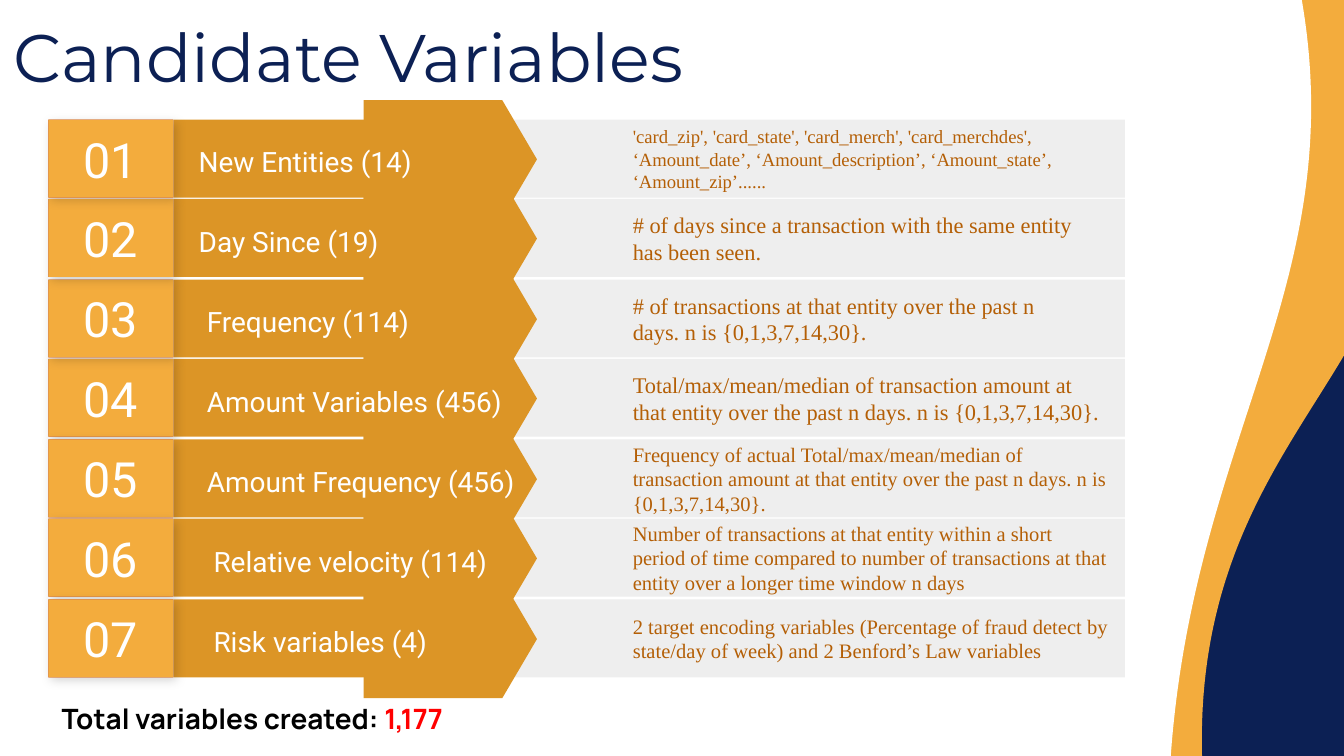
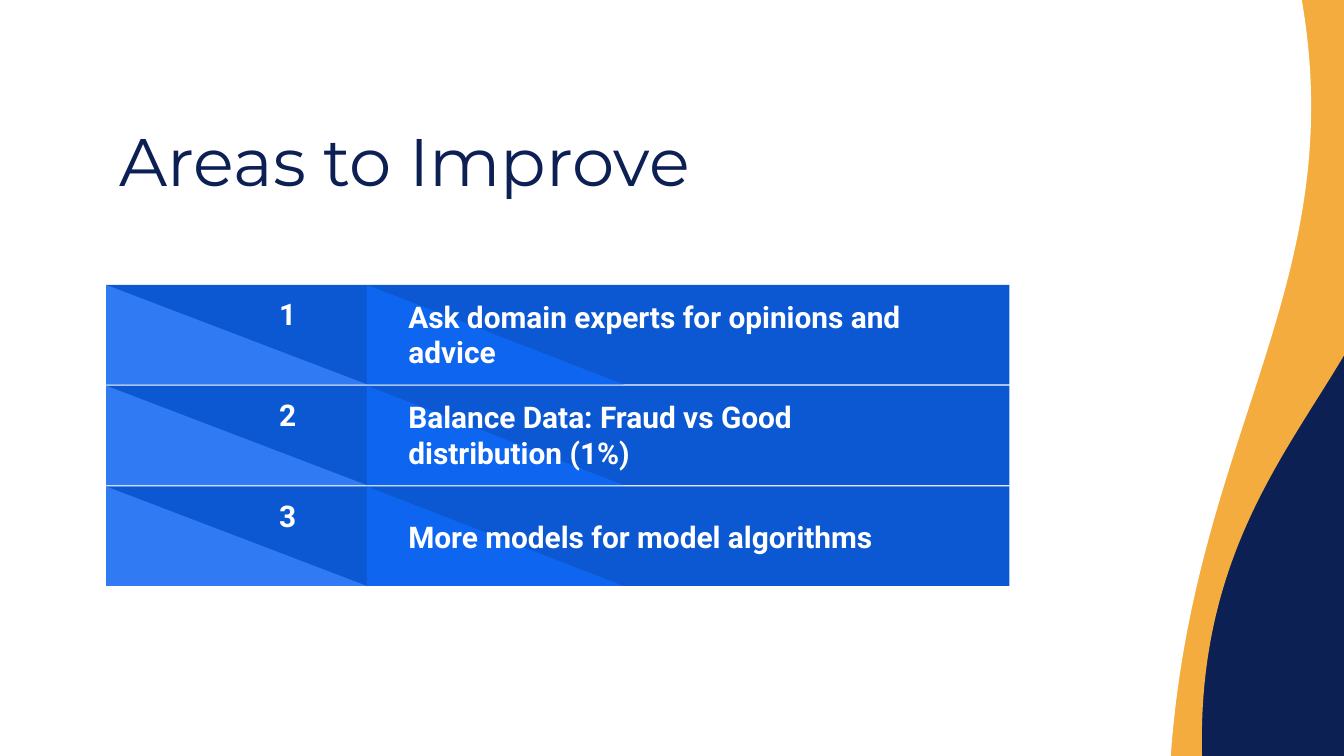
import dataclasses
import typing

import lxml.etree
import pptx
import pptx.dml.color
import pptx.enum.shapes
import pptx.enum.text
import pptx.oxml.ns
import pptx.presentation
import pptx.shapes.autoshape
import pptx.shapes.shapetree
import pptx.slide
import pptx.util

RGB = pptx.dml.color.RGBColor
KIND = pptx.enum.shapes.MSO_SHAPE
ANCHOR = pptx.enum.text.MSO_ANCHOR
ALIGN = pptx.enum.text.PP_ALIGN
FIT = pptx.enum.text.MSO_AUTO_SIZE
qn = pptx.oxml.ns.qn

Shape = pptx.shapes.autoshape.Shape
Slide = pptx.slide.Slide
Tree = typing.Union[pptx.shapes.shapetree.SlideShapes, pptx.shapes.shapetree.GroupShapes]
Frame = tuple[int, int, int, int]  # left, top, width, height in px

PX = 9144  # 100 px to the inch
WIDE = 1000
INSET = 10

NAVY = RGB(0x0C, 0x20, 0x54)
GOLD = RGB(0xF3, 0xAC, 0x3D)
OCHRE = RGB(0xDC, 0x95, 0x26)
RUST = RGB(0xB0, 0x2C, 0x20)
BROWN = RGB(0xB4, 0x5F, 0x06)
GREY = RGB(0xEE, 0xEE, 0xEE)
WHITE = RGB(0xFF, 0xFF, 0xFF)
BLACK = RGB(0, 0, 0)
RED = RGB(0xFF, 0, 0)
BLUE = RGB(0x0C, 0x58, 0xD3)
BRIGHT = RGB(0x0E, 0x65, 0xF0)
LIGHT = RGB(0x30, 0x7B, 0xF3)


@dataclasses.dataclass(frozen=True)
class Style:
    size: int
    color: RGB
    font: str = "Roboto"
    bold: bool = False
    align: ALIGN = ALIGN.LEFT
    anchor: ANCHOR = ANCHOR.MIDDLE
    indent: int = 0
    space: float = 1.0


TITLE = Style(36, NAVY, "Montserrat")
NUMBER = Style(26, WHITE, align=ALIGN.CENTER)
LABEL = Style(15, WHITE, space=1.15)
DETAIL = Style(12, BROWN, "Times New Roman", indent=50)
TOTAL = Style(15, BLACK, "Manrope", bold=True, anchor=ANCHOR.TOP)
POINT = Style(16, WHITE, bold=True)
COUNT = dataclasses.replace(POINT, align=ALIGN.CENTER, anchor=ANCHOR.BOTTOM)


@dataclasses.dataclass(frozen=True)
class Row:
    label: str
    left: int
    detail: str
    size: int
    width: int


ROWS = (
    Row("New Entities (14)", 138,
        "'card_zip', 'card_state', 'card_merch', 'card_merchdes', ‘Amount_date’, "
        "‘Amount_description’, ‘Amount_state’, ‘Amount_zip’......", 10, 425),
    Row("Day Since (19)", 138,
        "# of days since a transaction with the same entity has been seen.", 12, 399),
    Row("Frequency (114)", 144,
        "# of transactions at that entity over the past n days. n is {0,1,3,7,14,30}.", 12, 399),
    Row("Amount Variables (456)", 144,
        "Total/max/mean/median of transaction amount at that entity over the past n days. "
        "n is {0,1,3,7,14,30}.", 12, 419),
    Row("Amount Frequency (456)", 144,
        "Frequency of actual Total/max/mean/median of transaction amount at that entity "
        "over the past n days. n is {0,1,3,7,14,30}.", 11, 425),
    Row("Relative velocity (114)", 149,
        "Number of transactions at that entity within a short period of time compared to "
        "number of transactions at that entity over a longer time window n days", 11, 425),
    Row("Risk variables (4)", 149,
        "2 target encoding variables (Percentage of fraud detect by state/day of week) "
        "and 2 Benford’s Law variables", 11, 425),
)
ORDER = (3, 2, 1, 0, 4, 5, 6)  # back to front, so tile shadows fall on the row below

POINTS = (
    ("Ask domain experts for opinions and advice", ANCHOR.TOP),
    ("Balance Data: Fraud vs Good distribution (1%)", ANCHOR.TOP),
    ("More models for model algorithms", ANCHOR.MIDDLE),
)


def emu(frame: Frame) -> list[pptx.util.Emu]:
    return [pptx.util.Emu(n * PX) for n in frame]


def write(shape: Shape, text: str, style: Style) -> None:
    """Put one styled paragraph into a shape."""
    body = shape.text_frame
    body.text = text
    body.word_wrap = True
    body.auto_size = FIT.NONE
    body.vertical_anchor = style.anchor
    body.margin_left = body.margin_right = INSET * PX
    body.margin_top = body.margin_bottom = INSET * PX
    para = body.paragraphs[0]
    para.alignment = style.align
    para.line_spacing = style.space
    if style.indent:
        props = para._p.get_or_add_pPr()
        props.set("marL", str(style.indent * PX))
        props.set("indent", "0")
    for run in para.runs:
        ink(run, style)


def ink(run: typing.Any, style: Style) -> None:
    """Set the font of a run."""
    run.font.name = style.font
    run.font.size = pptx.util.Pt(style.size)
    run.font.bold = style.bold
    run.font.color.rgb = style.color


def label(tree: Tree, frame: Frame, text: str, style: Style) -> Shape:
    box = tree.add_textbox(*emu(frame))
    write(box, text, style)
    return box


def block(tree: Tree, kind: KIND, frame: Frame, fill: RGB, turn: float = 0) -> Shape:
    """Add a flat, unlined shape."""
    shape = tree.add_shape(kind, *emu(frame))
    shape.shadow.inherit = False
    shape.fill.solid()
    shape.fill.fore_color.rgb = fill
    shape.line.fill.background()
    shape.rotation = turn
    return shape


def shade(shape: Shape) -> None:
    """Give a flat shape a soft shadow to the lower right."""
    effects = shape.element.spPr.find(qn("a:effectLst"))
    outer = lxml.etree.SubElement(
        effects, qn("a:outerShdw"), blurRad="71120", dist="27940",
        dir="2700000", algn="bl", rotWithShape="0")
    color = lxml.etree.SubElement(outer, qn("a:srgbClr"), val="000000")
    lxml.etree.SubElement(color, qn("a:alpha"), val="17000")


def dress(deck: pptx.presentation.Presentation, slide: Slide) -> None:
    """Set the master's ground and move the two waves onto it."""
    master = deck.slide_master
    master.background.fill.solid()
    master.background.fill.fore_color.rgb = NAVY
    waves = (((309, -169, 603, 900), GOLD, 267.6), ((-11, -219, 998, 1070), WHITE, 261.7))
    for key, (frame, fill, turn) in enumerate(waves, 101):
        wave = block(slide.shapes, KIND.FLOWCHART_DOCUMENT, frame, fill, turn)
        wave.element.spPr.find(qn("a:xfrm")).set("flipH", "1")
        wave.element.nvSpPr.cNvPr.set("id", str(key))
        master.shapes.element.append(wave.element)


def start(deck: pptx.presentation.Presentation, text: str, left: int, top: int) -> Slide:
    """Add a slide with its title."""
    slide = deck.slides.add_slide(deck.slide_layouts[5])
    title = slide.shapes.title
    title.left, title.top, title.width, title.height = emu((left, top, 843, 53))
    write(title, text, TITLE)
    return slide


def band(tree: Tree, index: int, top: int) -> None:
    """Draw one numbered row of the variable list."""
    row, high = ROWS[index], 58
    block(tree, KIND.RECTANGLE, (323, top, 514, high), GREY)
    block(tree, KIND.RECTANGLE, (129, top, 248, high), OCHRE)
    block(tree, KIND.FLOWCHART_OFFPAGE_CONNECTOR, (291, top - 35, 88, 129), OCHRE, 270)
    tile = (36, top, 93, high)
    shade(block(tree, KIND.RECTANGLE, tile, RUST))
    write(block(tree, KIND.RECTANGLE, tile, GOLD), f"{index + 1:02}", NUMBER)
    style = dataclasses.replace(DETAIL, size=row.size)
    label(tree, (411, top, row.width, high), row.detail, style)


def list_vars(slide: Slide) -> None:
    tops = [89 + 119 * i // 2 for i in range(len(ROWS))]
    for index in ORDER:
        band(slide.shapes.add_group_shape().shapes, index, tops[index])
    for row, top in zip(ROWS, tops):
        label(slide.shapes, (row.left, top + 7, 261, 45), row.label, LABEL)

    total = label(slide.shapes, (36, 512, 706, 45), "Total variables created: ", TOTAL)
    value = total.text_frame.paragraphs[0].add_run()
    value.text = "1,177"
    ink(value, dataclasses.replace(TOTAL, color=RED))


def list_points(slide: Slide) -> None:
    high = 74
    for index, (text, anchor) in enumerate(POINTS):
        top = 212 + 75 * index
        tree = slide.shapes.add_group_shape().shapes
        block(tree, KIND.RECTANGLE, (79, top, 672, high), BLUE)
        block(tree, KIND.RIGHT_TRIANGLE, (273, top, 191, high), BRIGHT)
        block(tree, KIND.RIGHT_TRIANGLE, (79, top, 194, high), LIGHT)
        label(tree, (154, top, 120, 45), str(index + 1), COUNT)
        style = dataclasses.replace(POINT, anchor=anchor)
        label(tree, (294, top, 421, high), text, style)


def main() -> None:
    deck = pptx.Presentation()
    deck.slide_width = WIDE * PX
    deck.slide_height = deck.slide_width * 9 // 16
    first = start(deck, "Candidate Variables", 0, 15)
    dress(deck, first)
    list_vars(first)
    list_points(start(deck, "Areas to Improve", 79, 92))
    deck.save("out.pptx")


if __name__ == "__main__":
    main()
